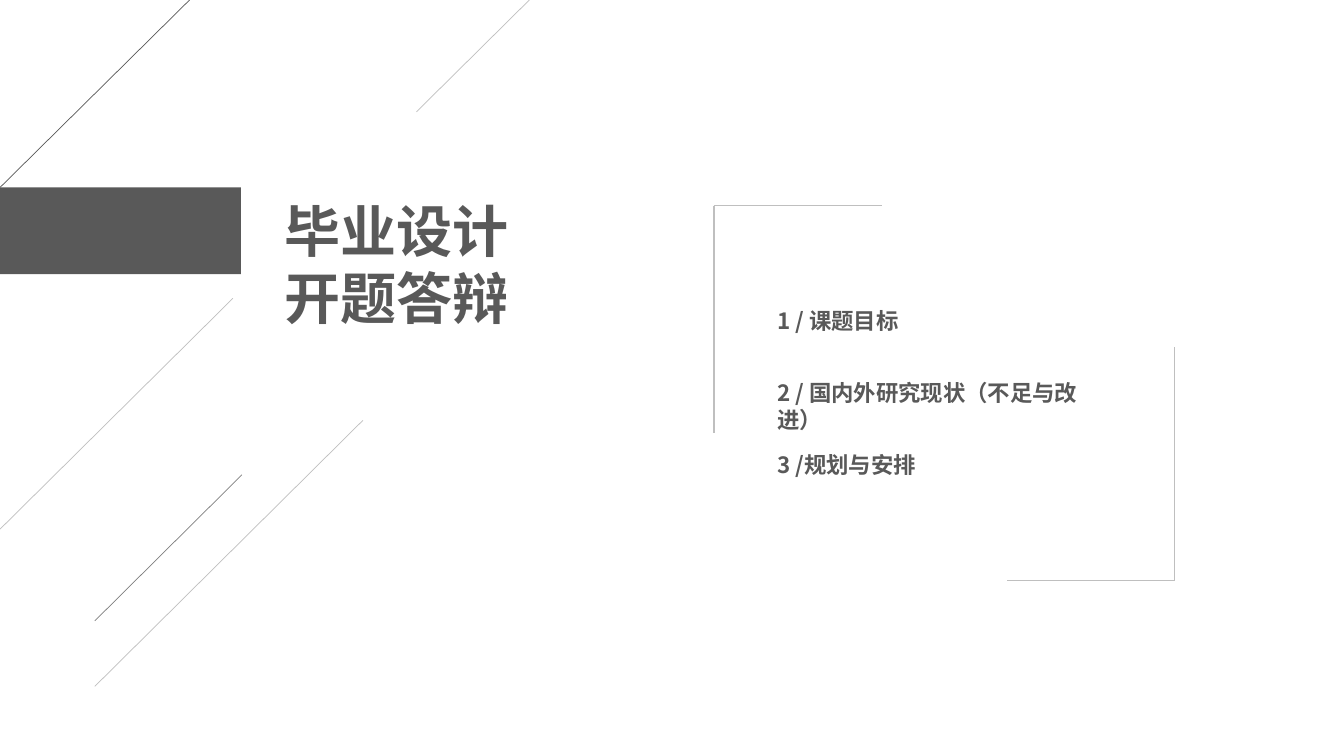
from dataclasses import dataclass

from pptx import Presentation
from pptx.dml.color import RGBColor as RGB
from pptx.enum.shapes import MSO_CONNECTOR as CONN, MSO_SHAPE as SHAPE
from pptx.enum.text import MSO_ANCHOR as ANCHOR, MSO_AUTO_SIZE as FIT, PP_ALIGN as ALIGN
from pptx.oxml.ns import qn
from pptx.util import Inches, Pt


@dataclass(frozen=True)
class Theme:
    font: str = "Noto Sans CJK SC"
    dark: str = "595959"
    medium: str = "808080"
    light: str = "BFBFBF"
    title_size: int = 40
    item_size: int = 16
    thin: float = 0.5
    frame: float = 1


def write_text(tf, text, *, font, size, color, bold=True, fit=FIT.NONE):
    tf.word_wrap = True
    tf.auto_size = fit
    tf.vertical_anchor = ANCHOR.TOP
    for i, line in enumerate(text.split("\n")):
        p = tf.paragraphs[0] if i == 0 else tf.add_paragraph()
        p.alignment = ALIGN.LEFT
        p.space_before = p.space_after = Pt(0)
        r = p.add_run()
        r.text = line
        r.font.size = Pt(size)
        r.font.bold = bold
        r.font.color.rgb = RGB.from_string(color)
        r.font.name = font
        ea = r.font._element.makeelement(qn("a:ea"), {"typeface": font})
        r.font._element.find(qn("a:latin")).addnext(ea)


class SlideBuilder:
    def __init__(self, prs, theme):
        self.theme = theme
        self.slide = prs.slides.add_slide(prs.slide_layouts[5])

    def title(self, text, left, top, width, height):
        sp = self.slide.shapes.title
        sp.left, sp.top = Inches(left), Inches(top)
        sp.width, sp.height = Inches(width), Inches(height)
        write_text(sp.text_frame, text, font=self.theme.font,
                   size=self.theme.title_size, color=self.theme.dark)

    def item(self, text, left, top, width, height):
        sp = self.slide.shapes.add_textbox(
            Inches(left), Inches(top), Inches(width), Inches(height))
        write_text(sp.text_frame, text, font=self.theme.font,
                   size=self.theme.item_size, color=self.theme.dark,
                   fit=FIT.SHAPE_TO_FIT_TEXT)

    def bar(self, left, top, width, height):
        sp = self.slide.shapes.add_shape(
            SHAPE.RECTANGLE, Inches(left), Inches(top), Inches(width), Inches(height))
        sp.shadow.inherit = False
        sp.fill.solid()
        sp.fill.fore_color.rgb = RGB.from_string(self.theme.dark)
        sp.line.fill.background()

    def line(self, start, end, color, weight):
        x1, y1 = start
        x2, y2 = end
        cn = self.slide.shapes.add_connector(
            CONN.STRAIGHT, Inches(x1), Inches(y1), Inches(x2), Inches(y2))
        cn.line.color.rgb = RGB.from_string(color)
        cn.line.width = Pt(weight)
        sp_pr = cn._element.spPr
        sp_pr.append(sp_pr.makeelement(qn("a:effectLst"), {}))

    def corner(self, x, y, x_end, y_end):
        for end in ((x_end, y), (x, y_end)):
            self.line((x, y), end, self.theme.light, self.theme.frame)


def main():
    prs = Presentation()
    prs.slide_width, prs.slide_height = Inches(13.33), Inches(7.5)
    theme = Theme()
    s = SlideBuilder(prs, theme)

    s.bar(0, 1.86, 2.39, 0.86)
    s.title("毕业设计\n开题答辩", 2.72, 1.9, 3.4, 1.45)

    diagonals = [
        ((1.88, 0), (0, 1.86), theme.dark),
        ((5.25, 0), (4.13, 1.11), theme.light),
        ((2.31, 2.96), (0, 5.25), theme.light),
        ((3.6, 4.17), (0.94, 6.81), theme.light),
        ((2.4, 4.71), (0.94, 6.16), theme.medium),
    ]
    for start, end, color in diagonals:
        s.line(start, end, color, theme.thin)

    agenda = [
        ("1 / 课题目标", 2.99),
        ("2 / 国内外研究现状（不足与改进）", 3.51),
        ("3 /规划与安排", 3.51),
    ]
    first_top, last_top = 3, 4.43
    pitch = (last_top - first_top) / (len(agenda) - 1)
    for i, (text, width) in enumerate(agenda):
        s.item(text, 7.61, first_top + i * pitch, width, 0.37)

    s.corner(7.08, 2.04, 8.75, 4.3)
    s.corner(11.65, 5.76, 9.99, 3.44)

    prs.save("out.pptx")


if __name__ == "__main__":
    main()
